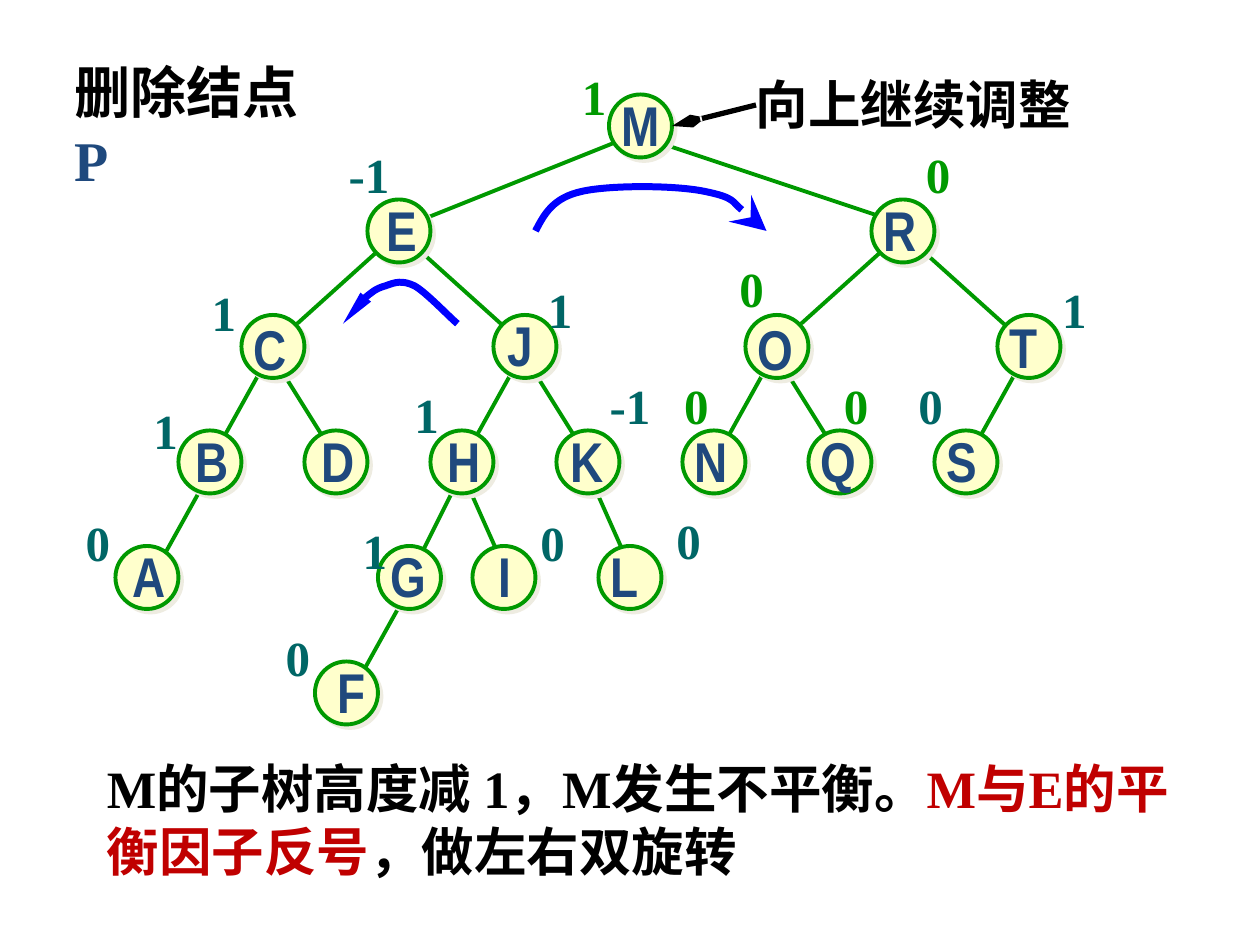
from dataclasses import dataclass
from typing import Optional

from lxml.etree import SubElement
from pptx import Presentation
from pptx.dml.color import RGBColor
from pptx.enum.shapes import MSO_CONNECTOR as Connector, MSO_SHAPE as Preset
from pptx.enum.text import MSO_AUTO_SIZE as AutoSize
from pptx.oxml.ns import qn
from pptx.util import Pt

Point = tuple[float, float]

COLORS = {
    "black": "000000", "navy": "1F497D", "red": "C00000", "green": "009900",
    "teal": "006666", "blue": "0000FF", "cream": "FFFFCC", "shade": "EEECE1",
}
DIAMETER = 36
LEVELS = (54, 114, 180, 246, 312, 378)

# Edge ends, as offsets from the corners of the parent and child circles
LEFT_STEEP = ((12, 30), (18, 18))
RIGHT_STEEP = ((18, 24), (12, 6))
LEFT_WIDE = ((12, 24), (24, 12))
LEFT_LOW = ((18, 24), (24, 12))
RIGHT_LOW = ((18, 24), (18, 12))


@dataclass
class Balance:
    text: str
    left: float
    top: float
    color: str = "teal"


@dataclass
class Node:
    letter: str
    left: float
    level: int
    label: tuple[float, float, float]  # left, top, width
    balance: Optional[Balance] = None
    parent: str = ""
    edge: tuple[Point, Point] = LEFT_STEEP

    @property
    def top(self) -> float:
        return LEVELS[self.level]


@dataclass
class Arrow:
    points: list[Point]
    end: str
    kind: str
    width: str


NODES = [
    Node("M", 348, 0, (348, 48, 37), Balance("1", 325.4, 34.6, "green")),
    Node("E", 210, 1, (214, 108, 32), Balance("-1", 192.2, 79.2), "M", ((12, 24), (30, 12))),
    Node("R", 498, 1, (498, 108, 34), Balance("0", 522, 79.2, "green"), "M", ((18, 24), (12, 12))),
    Node("C", 138, 2, (138, 176.4, 34), Balance("1", 113.8, 157.7), "E", LEFT_WIDE),
    Node("J", 282, 2, (283, 174, 29), Balance("1", 306, 156.2), "E", ((24, 24), (12, 12))),
    Node("O", 426, 2, (426, 176.4, 35), Balance("0", 415.4, 144, "green"), "R", LEFT_WIDE),
    Node("T", 570, 2, (570, 175, 30), Balance("1", 599.8, 156.2), "R", ((30, 30), (18, 18))),
    Node("B", 102, 3, (104.4, 240, 34), Balance("1", 80.6, 225.4), "C"),
    Node("D", 174, 3, (176.4, 240, 34), None, "C", RIGHT_STEEP),
    Node("H", 246, 3, (248.4, 240, 34), Balance("1", 229.7, 216), "J"),
    Node("K", 318, 3, (319, 240, 34), Balance("-1", 341.3, 211), "J", RIGHT_STEEP),
    Node("N", 390, 3, (390, 240, 34), Balance("0", 383.8, 211, "green"), "O"),
    Node("Q", 462, 3, (462, 240, 35), Balance("0", 475.2, 211, "green"), "O", RIGHT_STEEP),
    Node("S", 534, 3, (534, 240, 32), Balance("0", 517.7, 211), "T"),
    Node("A", 66, 4, (68.4, 306, 34), Balance("0", 41.8, 289.4), "B", LEFT_LOW),
    Node("G", 216, 4, (216, 306, 35), Balance("1", 200.2, 293.8), "H", ((18, 24), (18, 18))),
    Node("I", 270, 4, (278, 306, 22), Balance("0", 301.7, 289.4), "H", RIGHT_LOW),
    Node("L", 342, 4, (342, 306, 30), Balance("0", 379.4, 288), "K", RIGHT_LOW),
    Node("F", 180, 5, (186, 372, 30), Balance("0", 156.2, 355), "G", LEFT_LOW),
]

# Each arrow: a start point, then three points for each Bézier segment
ROTATIONS = [
    Arrow([(306, 132), (311, 122.4), (316, 113), (332.6, 109.4), (348.5, 105.8),
           (385.2, 105.8), (402.5, 109.4), (420.5, 113), (432, 128.2), (438, 132)],
          "tailEnd", "stealth", "lg"),
    Arrow([(196, 185), (198, 181.4), (199.4, 177.8), (204, 174.2), (208, 170.6),
           (214.6, 164.9), (220.3, 163.4), (226, 161.3), (229.7, 160), (236.9, 163.4),
           (243.4, 167), (257, 181.4), (261.4, 185)],
          "headEnd", "triangle", "sm"),
]


def rgb(name: str) -> RGBColor:
    return RGBColor.from_string(COLORS[name])


def style_line(shape, color: str, width: float) -> None:
    shape.line.color.rgb = rgb(color)
    shape.line.width = Pt(width)


def add_arrowhead(shape, end: str, kind: str, width: str) -> None:
    line = shape.line._get_or_add_ln()
    SubElement(line, qn(f"a:{end}"), type=kind, w=width, len="lg")


def add_text(slide, at: tuple[float, float, float, float], spans: list[tuple[str, str]],
             size: float, font: str = "Times New Roman", wrap: bool = False) -> None:
    box = slide.shapes.add_textbox(*map(Pt, at))
    frame = box.text_frame
    frame.word_wrap = wrap
    frame.auto_size = AutoSize.SHAPE_TO_FIT_TEXT
    para = frame.paragraphs[0]
    for text, color in spans:
        span = para.add_run()
        span.text = text
        for key, value in {"size": Pt(size), "name": font, "bold": True}.items():
            setattr(span.font, key, value)
        span.font.color.rgb = rgb(color)


def add_line(slide, start: Point, end: Point, color: str, width: float):
    line = slide.shapes.add_connector(Connector.STRAIGHT, *map(Pt, (*start, *end)))
    style_line(line, color, width)
    SubElement(line._element.spPr, qn("a:effectLst"))
    return line


def add_edge(slide, parent: Node, child: Node) -> None:
    (out_x, out_y), (in_x, in_y) = child.edge
    add_line(slide, (parent.left + out_x, parent.top + out_y),
             (child.left + in_x, child.top + in_y), "green", 2.25)


def add_circle(slide, node: Node) -> None:
    circle = slide.shapes.add_shape(
        Preset.OVAL, *map(Pt, (node.left, node.top, DIAMETER, DIAMETER)))
    circle.fill.solid()
    circle.fill.fore_color.rgb = rgb("cream")
    style_line(circle, "green", 2.25)
    # Hard shadow towards the lower right
    circle.shadow.inherit = False
    effects = circle._element.spPr.find(qn("a:effectLst"))
    shadow = SubElement(effects, qn("a:outerShdw"), blurRad="0", dist=str(Pt(2.8)),
                        dir="2700000", algn="ctr", rotWithShape="0")
    SubElement(shadow, qn("a:srgbClr"), val=COLORS["shade"])


def add_rotation(slide, arrow: Arrow) -> None:
    start, *rest = [(Pt(x), Pt(y)) for x, y in arrow.points]
    builder = slide.shapes.build_freeform(*start)
    builder.add_line_segments(rest, close=False)
    curve = builder.convert_to_shape()
    # Turn every three line steps into one Bézier segment
    outline = next(curve._element.iter(qn("a:path")))
    steps = outline.findall(qn("a:lnTo"))
    for first in range(0, len(steps), 3):
        bezier = SubElement(outline, qn("a:cubicBezTo"))
        for step in steps[first:first + 3]:
            bezier.append(step[0])
            outline.remove(step)
    curve.fill.background()
    curve.shadow.inherit = False
    style_line(curve, "blue", 4)
    add_arrowhead(curve, arrow.end, arrow.kind, arrow.width)


def main() -> None:
    deck = Presentation()
    deck.slide_width, deck.slide_height = Pt(720), Pt(540)
    page = deck.slides.add_slide(deck.slide_layouts[6])

    # Title and conclusion
    add_text(page, (35.3, 29.5, 160, 45.4), [("删除结点", "black"), ("P", "navy")], 32, wrap=True)
    add_text(page, (54, 428.4, 625, 79.2),
             [("M的子树高度减 1，M发生不平衡。", "black"), ("M与E的平衡因子反号", "red"),
              ("，做左右双旋转", "black")], 30, wrap=True)

    # Tree: edges, circles, letters, balance factors
    by_letter = {node.letter: node for node in NODES}
    for node in NODES:
        if node.parent:
            add_edge(page, by_letter[node.parent], node)
    for node in NODES:
        add_circle(page, node)
    for node in NODES:
        add_text(page, (*node.label, 45.4), [(node.letter, "navy")], 32, "Arial Narrow")
    for node in NODES:
        if node.balance:
            mark = node.balance
            width = 28.8 if len(mark.text) == 1 else 38.2
            add_text(page, (mark.left, mark.top, width, 41), [(mark.text, mark.color)], 28)

    # Pointer to the root
    pointer = add_line(page, (432, 60), (384, 72), "black", 3)
    add_arrowhead(pointer, "tailEnd", "arrow", "sm")
    add_text(page, (424.8, 37.4, 195.8, 44), [("向上继续调整", "black")], 30, "Arial")

    # Rotation arrows
    for arrow in ROTATIONS:
        add_rotation(page, arrow)

    deck.save("out.pptx")


if __name__ == "__main__":
    main()
